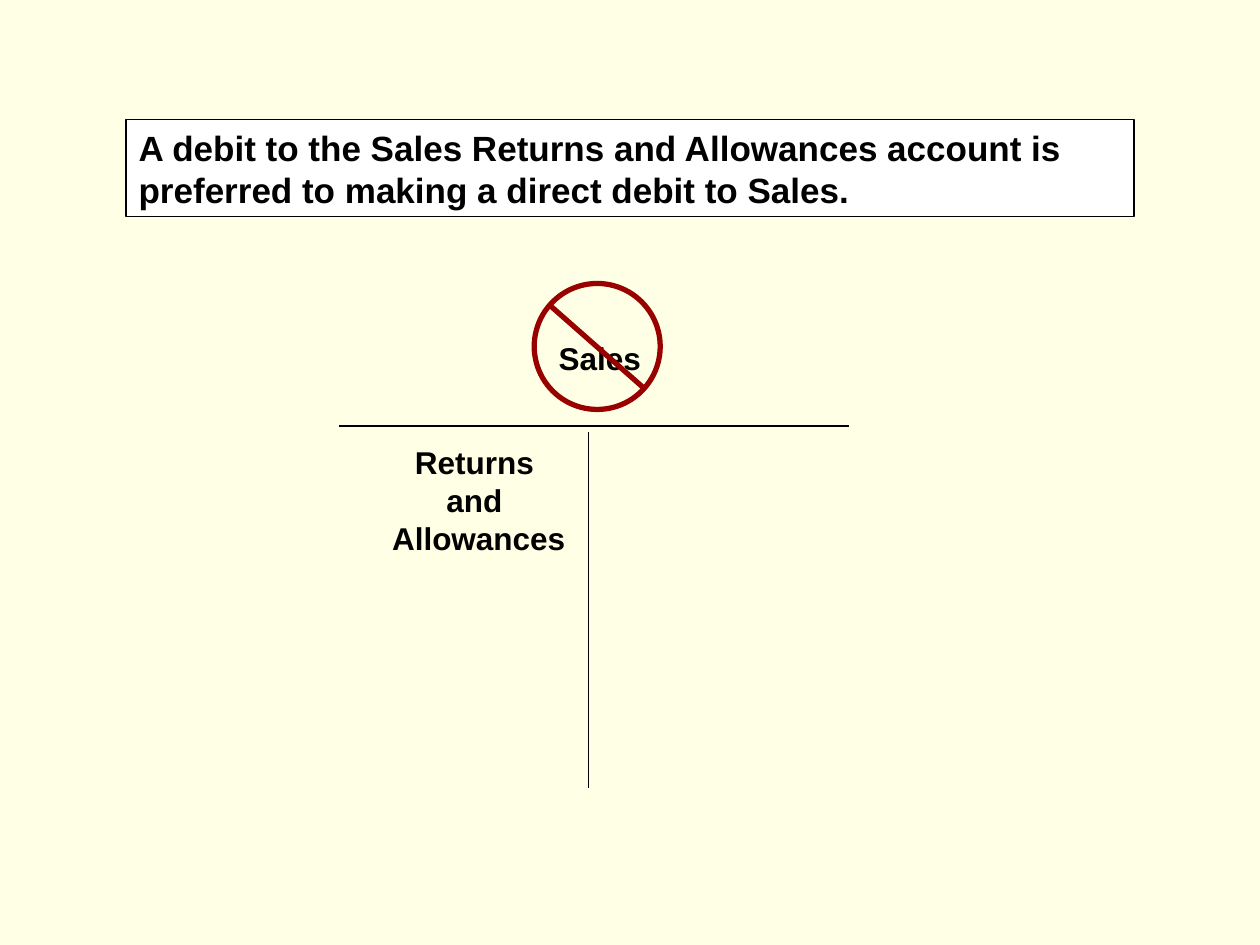
import pptx
import pptx.util
import pptx.dml.color
import pptx.enum.shapes
import pptx.enum.text
import pptx.oxml

Align = pptx.enum.text.PP_ALIGN
Anchor = pptx.enum.text.MSO_ANCHOR
Fit = pptx.enum.text.MSO_AUTO_SIZE
Kind = pptx.enum.shapes.MSO_SHAPE
Wire = pptx.enum.shapes.MSO_CONNECTOR
Inch = pptx.util.Inches

INK, RED = "000000", "990000"


def paint(part, color):
    """Set a solid colour on a fill, or on the fill of a line."""
    part.solid()
    part.fore_color.rgb = pptx.dml.color.RGBColor.from_string(color)


def write(frame, text, size, align, anchor):
    frame.text = text
    frame.vertical_anchor = anchor
    frame.auto_size = Fit.NONE
    frame.word_wrap = True
    para = frame.paragraphs[0]
    para.alignment = align
    para.font.name = "Arial"
    para.font.size = pptx.util.Pt(size)
    para.font.bold = True
    paint(para.font.fill, INK)


deck = pptx.Presentation()
deck.slide_width, deck.slide_height = Inch(10), Inch(7.5)
slide = deck.slides.add_slide(deck.slide_layouts[5])
paint(slide.background.fill, "FFFFE5")

# Statement
title = slide.shapes.title
title.left, title.top = Inch(1), Inch(0.95)
title.width, title.height = Inch(8), Inch(0.77)
paint(title.fill, "FFFFFF")
paint(title.line.fill, INK)
title.line.width = pptx.util.Pt(0.75)
write(title.text_frame,
      "A debit to the Sales Returns and Allowances account is "
      "preferred to making a direct debit to Sales.",
      20, Align.LEFT, Anchor.MIDDLE)

# Account name and its debit entry
labels = [
    ("Sales", 4.2, 2.64, 1.12, 0.4),
    ("Returns \vand \vAllowances", 2.95, 3.47, 1.7, 1),
]
for text, *place in labels:
    box = slide.shapes.add_textbox(*map(Inch, place))
    write(box.text_frame, text, 18, Align.CENTER, Anchor.TOP)

# Ban sign
ring = slide.shapes.add_shape(Kind.OVAL, Inch(4.24), Inch(2.25), Inch(1), Inch(1))
ring.shadow.inherit = False
ring.fill.background()
paint(ring.line.fill, RED)
ring.line.width = pptx.util.Pt(3)

# Slash of the sign, then the bar and stem of the T account
account = slide.shapes.add_group_shape()
lines = [
    (slide, (4.36, 2.42, 5.11, 3.08), RED, 3),
    (account, (2.69, 3.38, 6.74, 3.38), INK, 0.75),
    (account, (4.67, 3.43, 4.67, 6.25), INK, 0.75),
]
for home, ends, color, weight in lines:
    line = home.shapes.add_connector(Wire.STRAIGHT, *map(Inch, ends))
    paint(line.line.fill, color)
    line.line.width = pptx.util.Pt(weight)
    line._element.spPr.append(pptx.oxml.parse_xml(
        '<a:effectLst xmlns:a="http://schemas.openxmlformats.org/drawingml/2006/main"/>'))

deck.save("out.pptx")
